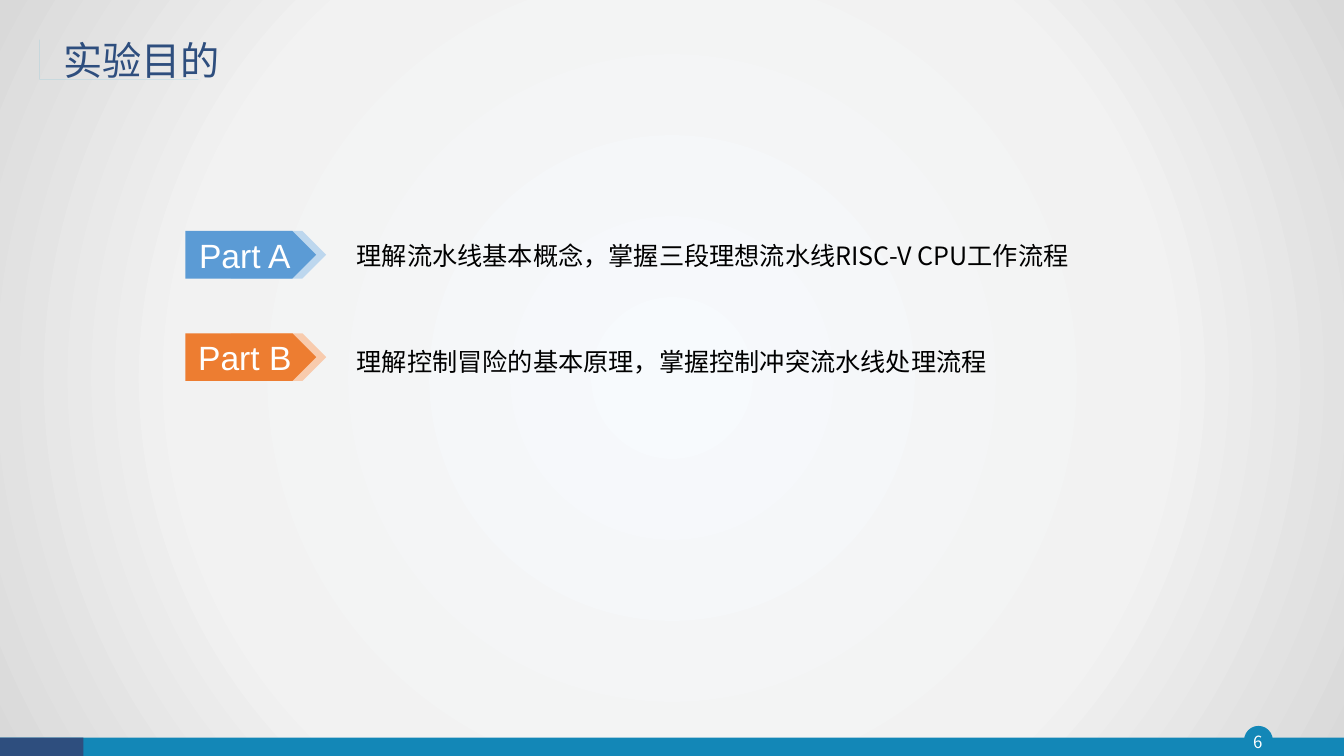
from lxml import etree
from pptx import Presentation
from pptx.dml.color import RGBColor
from pptx.enum.shapes import MSO_SHAPE as Preset
from pptx.enum.text import MSO_ANCHOR as Anchor, PP_ALIGN as Align
from pptx.oxml import parse_xml
from pptx.oxml.ns import qn
from pptx.util import Cm, Pt

CJK = "Noto Sans CJK SC"
BLUE, NAVY, CYAN, WHITE = "1387B7", "2E4E7E", "28A9D6", "FFFFFF"

prs = Presentation()
prs.slide_width, prs.slide_height = Cm(33.87), Cm(19.05)
slide = prs.slides.add_slide(prs.slide_layouts[6])
shapes = slide.shapes


def paint(shape, color):
    """Give the shape a flat fill without line or shadow."""
    shape.shadow.inherit = False
    shape.fill.solid()
    shape.fill.fore_color.rgb = RGBColor.from_string(color)
    shape.line.fill.background()
    return shape


def write(shape, text, size, color, font=CJK, align=Align.LEFT, spacing=1.0, inset=0):
    """Put one vertically centred paragraph into the shape."""
    frame = shape.text_frame
    frame.word_wrap = True
    frame.vertical_anchor = Anchor.MIDDLE
    frame.margin_left = frame.margin_right = Cm(inset)
    frame.margin_top = frame.margin_bottom = Cm(inset / 2)
    paragraph = frame.paragraphs[0]
    paragraph.text = text
    paragraph.alignment = align
    paragraph.line_spacing = spacing
    paragraph.font.size = Pt(size)
    paragraph.font.name = font
    paragraph.font.color.rgb = RGBColor.from_string(color)
    latin = paragraph.font._element.find(qn("a:latin"))
    east_asian = etree.Element(qn("a:ea"), typeface=font)
    latin.addnext(east_asian)


# Background: radial gradient from the centre
slide.background.fill.gradient()
linear = slide.element.find(".//" + qn("a:gradFill"))
stops = "".join(
    f'<a:gs pos="{percent * 1000}"><a:srgbClr val="{color}"/></a:gs>'
    for percent, color in [(0, "F7FAFD"), (63, "F2F2F2"), (100, "D9D9D9")]
)
radial = parse_xml(
    '<a:gradFill xmlns:a="http://schemas.openxmlformats.org/drawingml/2006/main" rotWithShape="1">'
    f"<a:gsLst>{stops}</a:gsLst>"
    '<a:path path="circle"><a:fillToRect l="50000" t="50000" r="50000" b="50000"/></a:path>'
    "</a:gradFill>"
)
linear.getparent().replace(linear, radial)

# Footer with page number
page_badge = paint(shapes.add_shape(Preset.OVAL, Cm(31.37), Cm(18.31), Cm(0.69), Cm(0.69)), BLUE)
page_badge.line.color.rgb = RGBColor.from_string(BLUE)
page_badge.line.width = Pt(1)
for width, color in [(33.87, BLUE), (2.1, NAVY)]:
    paint(shapes.add_shape(Preset.RECTANGLE, 0, Cm(18.59), Cm(width), Cm(0.46)), color)
page_number = shapes.add_textbox(Cm(31.29), Cm(18.31), Cm(0.81), Cm(0.79))
write(page_number, "6", 12, WHITE, align=Align.CENTER)

# Title with its bracket ornament
bracket = shapes.build_freeform(1.37, 0.99, scale=Cm(1))
bracket.add_line_segments([
    (1.37, 2.16), (4.75, 2.16), (4.75, 2.2), (1.32, 2.2), (1.32, 1.04), (1.2, 1.04),
    (1.2, 2.2), (0.91, 2.2), (0.91, 0.99), (1, 0.99), (1, 2.14), (1.12, 2.14), (1.12, 0.99),
])
paint(bracket.convert_to_shape(), CYAN)
title = shapes.add_textbox(Cm(1.35), Cm(0.71), Cm(29.2), Cm(1.73))
write(title, "实验目的", 28, NAVY, spacing=0.9, inset=0.25)

# Goals: arrow label with a pale echo behind it, then the text
goals = [
    ("Part A", "5B9BD5", "BDD7EE", "理解流水线基本概念，掌握三段理想流水线RISC-V CPU工作流程", 1.0),
    ("Part B", "ED7D31", "F8CBAD", "理解控制冒险的基本原理，掌握控制冲突流水线处理流程", 1.3),
]
for row, (part, color, pale, goal, spacing) in enumerate(goals):
    top = 5.82 + row * 2.58
    paint(shapes.add_shape(Preset.PENTAGON, Cm(5.82), Cm(top), Cm(2.4), Cm(1.2)), pale)
    label = paint(shapes.add_shape(Preset.PENTAGON, Cm(4.67), Cm(top), Cm(3.3), Cm(1.2)), color)
    write(label, part, 24, WHITE, font="Arial", align=Align.CENTER, inset=0.25)
    goal_text = shapes.add_textbox(Cm(8.99), Cm(top - 0.31), Cm(19.02), Cm(1.83))
    write(goal_text, goal, 18, "000000", spacing=spacing)

prs.save("out.pptx")
